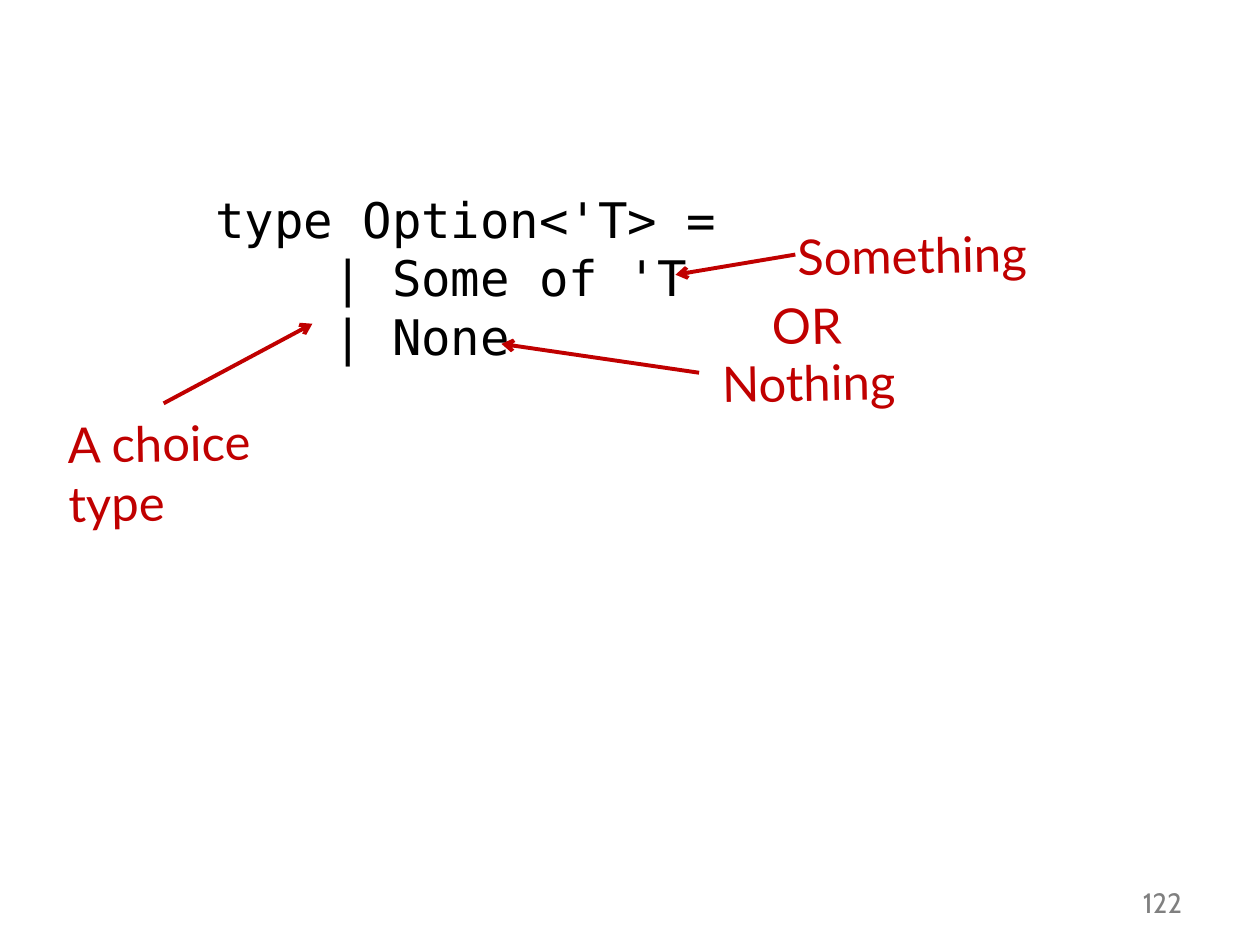
import pptx
import pptx.util
import pptx.dml.color
import pptx.enum.shapes
import pptx.enum.text
import pptx.oxml.ns
import lxml.etree

Pt = pptx.util.Pt
colors = {"code": "000000", "note": "C00000", "page": "808080"}

deck = pptx.Presentation()
deck.slide_width, deck.slide_height = Pt(720), Pt(540)
slide = deck.slides.add_slide(deck.slide_layouts[6])


def write(text, left, top, width, height, font, size, color):
    box = slide.shapes.add_textbox(Pt(left), Pt(top), Pt(width), Pt(height))
    frame = box.text_frame
    frame.word_wrap = True
    frame.auto_size = pptx.enum.text.MSO_AUTO_SIZE.SHAPE_TO_FIT_TEXT
    frame.text = text
    for para in frame.paragraphs:
        for run in para.runs:
            run.font.name = font
            run.font.size = Pt(size)
            run.font.color.rgb = pptx.dml.color.RGBColor.from_string(colors[color])
    return box


page = write("122", 609, 502.5, 73.5, 26.5, "Cabin", 16, "page")
page.text_frame.paragraphs[0].alignment = pptx.enum.text.PP_ALIGN.RIGHT

code = "type Option<'T> =\n    | Some of 'T\n    | None"
write(code, 116, 104.5, 390, 108.5, "DejaVu Sans Mono", 28, "code")

notes = [
    ("Something", 448.5, 124.5, 192),
    ("Nothing", 405.5, 197.5, 141),
    ("OR", 434, 164, 192),
    ("A choice type", 31.5, 232, 170),
]
for text, left, top, width in notes:
    note = write(text, left, top, width, 41, "Lato", 28, "note")
    note.rotation = 359

arrows = [
    (454.5, 145.5, 386, 157),
    (399.5, 213, 286.5, 196.5),
    (93.5, 230.5, 178.5, 185),
]
qn = pptx.oxml.ns.qn
for ends in arrows:
    arrow = slide.shapes.add_connector(
        pptx.enum.shapes.MSO_CONNECTOR.STRAIGHT, *[Pt(end) for end in ends])
    arrow.line.color.rgb = pptx.dml.color.RGBColor.from_string(colors["note"])
    arrow.line.width = Pt(2.25)
    props = arrow.line.fill and arrow.element.spPr
    lxml.etree.SubElement(props.find(qn("a:ln")), qn("a:tailEnd"), type="arrow")
    lxml.etree.SubElement(props, qn("a:effectLst"))

deck.save("out.pptx")
